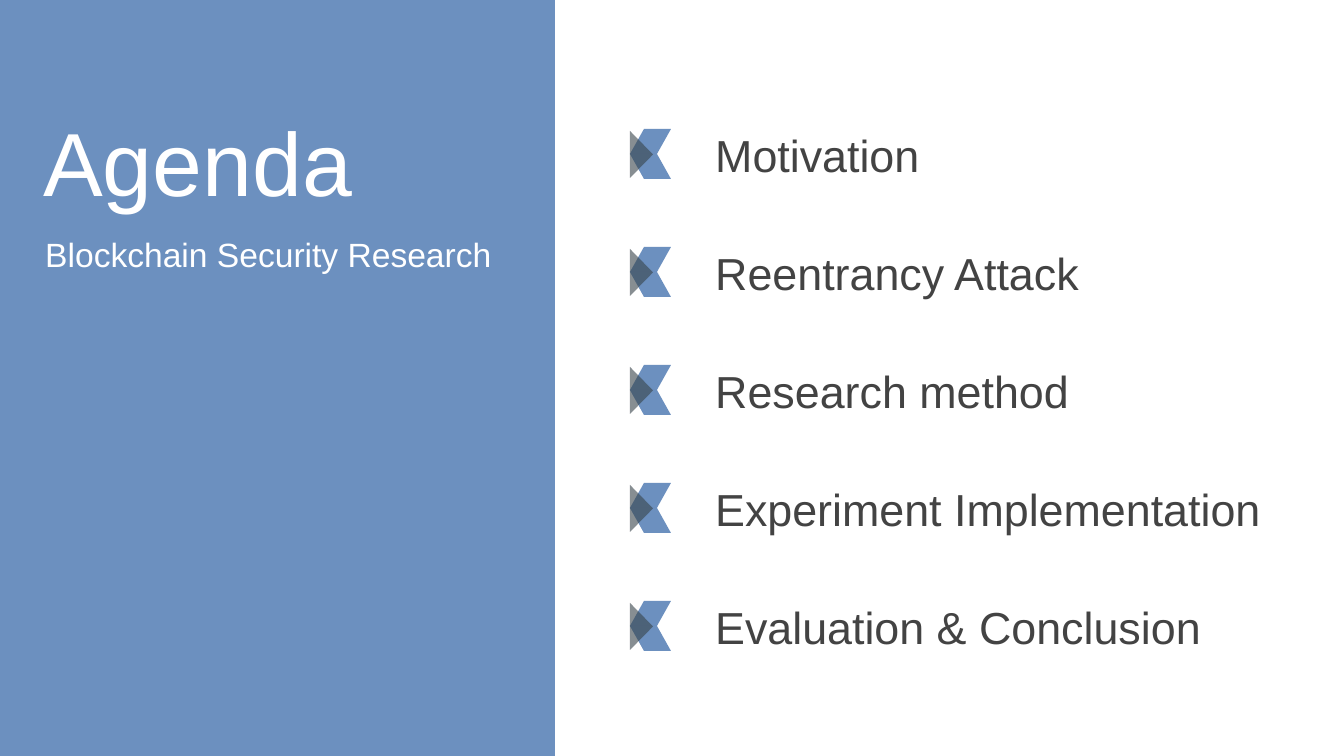
from dataclasses import dataclass
from lxml import etree
from pptx import Presentation
from pptx.dml.color import RGBColor
from pptx.enum.shapes import MSO_SHAPE
from pptx.enum.text import MSO_ANCHOR
from pptx.oxml.ns import qn
from pptx.util import Emu, Pt

RECT = MSO_SHAPE.RECTANGLE
PARALLELOGRAM = MSO_SHAPE.PARALLELOGRAM
TRIANGLE = MSO_SHAPE.ISOSCELES_TRIANGLE
TOP = MSO_ANCHOR.TOP
MIDDLE = MSO_ANCHOR.MIDDLE
SCALE = 914400 / 134.4


def px(n):
    return Emu(round(n * SCALE))


@dataclass(frozen=True)
class Theme:
    font: str = "Arial"
    blue: str = "5E85B9"
    slate: str = "38444A"
    white: str = "FFFFFF"
    ink: str = "434343"
    blue_alpha: int = 91
    slate_alpha: int = 60
    title: int = 48
    subtitle: int = 18
    item: int = 24


class Deck:
    def __init__(self, theme, slide):
        self.theme = theme
        self.s = slide

    def shape(self, kind, box, color, alpha, parent=None, adj=None, flip=False, rotation=0):
        sp = (parent or self.s).shapes.add_shape(kind, *map(px, box))
        sp.shadow.inherit = False
        sp.line.fill.background()
        sp.fill.solid()
        sp.fill.fore_color.rgb = RGBColor.from_string(color)
        clr = sp._element.spPr.find(qn("a:solidFill"))[0]
        etree.SubElement(clr, qn("a:alpha")).set("val", str(alpha * 1000))
        if adj is not None:
            sp.adjustments[0] = adj
        if flip:
            sp._element.spPr.get_or_add_xfrm().set("flipH", "1")
        sp.rotation = rotation
        return sp

    def text(self, text, box, size, color, anchor=TOP, spacing=None, after=None):
        tf = self.s.shapes.add_textbox(*map(px, box)).text_frame
        tf.word_wrap = True
        tf.vertical_anchor = anchor
        tf.margin_left = tf.margin_right = tf.margin_top = tf.margin_bottom = Pt(7.2)
        p = tf.paragraphs[0]
        p.line_spacing = spacing
        p.space_after = after
        r = p.add_run()
        r.text = text
        r.font.name = self.theme.font
        r.font.size = Pt(size)
        r.font.color.rgb = RGBColor.from_string(color)

    def marker(self, x, y):
        t = self.theme
        group = self.s.shapes.add_group_shape()
        for top, flip in ((y, False), (y + 25, True)):
            self.shape(PARALLELOGRAM, (x, top, 41, 25), t.blue, t.blue_alpha,
                       group, adj=0.56, flip=flip)
        self.shape(TRIANGLE, (x - 12, y + 14, 47, 23), t.slate, t.slate_alpha,
                   group, rotation=90)


theme = Theme()
prs = Presentation()
prs.slide_width, prs.slide_height = px(1344), px(756)
deck = Deck(theme, prs.slides.add_slide(prs.slide_layouts[6]))

deck.shape(RECT, (0, 0, 555, 756), theme.blue, theme.blue_alpha)
deck.text("Agenda", (30, 94, 527, 120), theme.title, theme.white)
deck.text("Blockchain Security Research", (32, 215, 540, 69), theme.subtitle,
          theme.white, spacing=1.15, after=Pt(16))

ITEMS = ("Motivation", "Reentrancy Attack", "Research method",
         "Experiment Implementation", "Evaluation & Conclusion")
FIRST_Y, PITCH = 129, 118
for i, item in enumerate(ITEMS):
    y = FIRST_Y + i * PITCH
    deck.marker(630, y)
    deck.text(item, (702, y - 9, 621, 69), theme.item, theme.ink, MIDDLE)

prs.save("out.pptx")
